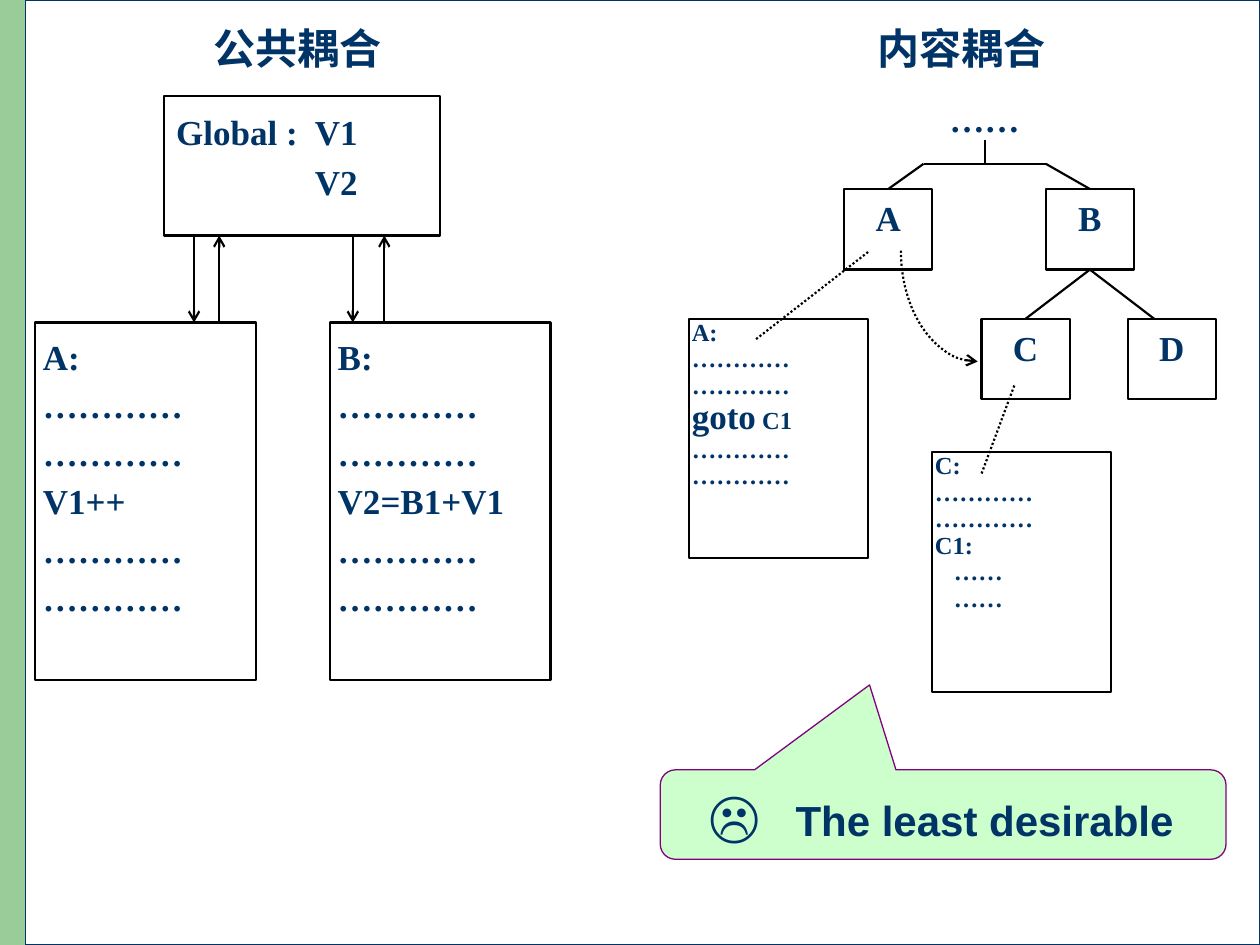
"""Build a slide that compares common coupling with content coupling."""
from lxml import etree
from pptx import Presentation
from pptx.dml.color import RGBColor
from pptx.enum.dml import MSO_LINE
from pptx.enum.shapes import MSO_CONNECTOR, MSO_SHAPE
from pptx.enum.text import MSO_ANCHOR, PP_ALIGN
from pptx.oxml.ns import qn
from pptx.util import Inches, Pt

RECT, ARC, CALLOUT = MSO_SHAPE.RECTANGLE, MSO_SHAPE.ARC, MSO_SHAPE.ROUNDED_RECTANGULAR_CALLOUT
LEFT, CENTER = PP_ALIGN.LEFT, PP_ALIGN.CENTER
TOP, MIDDLE = MSO_ANCHOR.TOP, MSO_ANCHOR.MIDDLE
DOTTED, STRAIGHT = MSO_LINE.ROUND_DOT, MSO_CONNECTOR.STRAIGHT
TOP_SIDE, BOTTOM_SIDE = 0, 2

SLIDE_W, SLIDE_H, MARGIN = 10, 7.5, 0.2
NAVY, BLACK, WHITE, GREEN, MINT, PURPLE = "003366", "000000", "FFFFFF", "99CC99", "CCFFCC", "800080"
SERIF, SANS = "Times New Roman", "Arial"
DOTS = "…………"

HEADINGS = [("公共耦合", 1.38), ("内容耦合", 6.65)]
GLOBALS = ["Global :\tV1", "V2"]
USERS = [("A:", "V1++"), ("B:", "V2=B1+V1")]
EXCHANGES = [(1.54, 1.74), (2.8, 3.05)]
MODULES = {"A": (6.7, 1.5), "B": (8.3, 1.5), "C": (7.79, 2.53), "D": (8.95, 2.53)}
LISTINGS = [
    (5.47, 2.53, ["A:", DOTS, DOTS, [("goto", 20), (" C1", 14)], DOTS, DOTS], {}),
    (7.4, 3.59, ["C:", DOTS, DOTS, "C1:", "……", "……"], {4: (0.15, 0), 5: (0.15, 0)}),
]
VERDICT = [[("☹", 32), ("\tThe least desirable", 24)]]

GLOBAL_X, GLOBAL_Y, GLOBAL_W, GLOBAL_H = 1.3, 0.76, 2.19, 1.11
USER_X, USER_Y, USER_W, USER_H, USER_STEP = 0.28, 2.56, 1.75, 2.84, 2.34
MODULE_W, MODULE_H = 0.7, 0.64
LISTING_W, LISTING_H = 1.42, 1.9
BAR_Y, BAR_LEFT, BAR_RIGHT = 1.3, 7.33, 8.3
JUMP_X, JUMP_Y, JUMP_RX, JUMP_RY = 7.76, 1.99, 0.61, 0.88


def color(value):
    return RGBColor.from_string(value)


def write(shape, lines, size=20, font=SERIF, align=LEFT, anchor=TOP, spacing=1.0,
          insets=(0.1, 0.05, 0.1, 0.05), indents=None):
    """Fill a shape with lines; a line is a string or a list of (text, size) runs."""
    frame = shape.text_frame
    frame.word_wrap, frame.vertical_anchor = True, anchor
    frame.margin_left, frame.margin_top, frame.margin_right, frame.margin_bottom = map(Inches, insets)
    for row, line in enumerate(lines):
        paragraph = frame.add_paragraph() if row else frame.paragraphs[0]
        paragraph.alignment, paragraph.line_spacing = align, spacing
        if indents and row in indents:
            left, first = indents[row]
            properties = paragraph._p.get_or_add_pPr()
            properties.set("marL", str(Inches(left)))
            properties.set("indent", str(Inches(first)))
        for text, points in [(line, size)] if isinstance(line, str) else line:
            run = paragraph.add_run()
            run.text = text
            run.font.size, run.font.name, run.font.bold = Pt(points), font, True
            run.font.color.rgb = color(NAVY)


def stroke(item, value=BLACK, width=1.25, dash=None, arrow=None):
    item.line.color.rgb, item.line.width = color(value), Pt(width)
    if dash:
        item.line.dash_style = dash
    if arrow:
        etree.SubElement(item.line._get_or_add_ln(), qn(f"a:{arrow}")).set("type", "arrow")


def box(slide, x, y, w, h, kind=RECT, fill=WHITE, outline=BLACK, width=1.25):
    shape = slide.shapes.add_shape(kind, *map(Inches, (x, y, w, h)))
    shape.fill.solid()
    shape.fill.fore_color.rgb = color(fill)
    if outline:
        stroke(shape, outline, width)
    else:
        shape.line.fill.background()
    shape.shadow.inherit = False
    return shape


def link(slide, start, end, dash=None, arrow=None):
    connector = slide.shapes.add_connector(STRAIGHT, *map(Inches, (*start, *end)))
    stroke(connector, dash=dash, arrow=arrow)
    etree.SubElement(connector._element.spPr, qn("a:effectLst"))
    return connector


def add_headings(slide):
    second = slide.shapes.add_textbox(0, 0, 0, 0)
    first = slide.shapes.title
    slide.shapes._spTree.append(first._element)
    for shape, (heading, x) in zip((first, second), HEADINGS):
        shape.left, shape.top, shape.width, shape.height = map(Inches, (x, 0.13, 1.97, 0.5))
        write(shape, [heading], size=24, font=SANS, align=CENTER, anchor=MIDDLE)


def add_common_coupling(slide):
    shared = box(slide, GLOBAL_X, GLOBAL_Y, GLOBAL_W, GLOBAL_H)
    write(shared, GLOBALS, spacing=1.2, indents={0: (1.1, -1.1), 1: (1.1, 0)})
    for column, (name, statement) in enumerate(USERS):
        user = box(slide, USER_X + column * USER_STEP, USER_Y, USER_W, USER_H)
        write(user, [name, DOTS, DOTS, statement, DOTS, DOTS], spacing=1.15,
              insets=(0.06, 0.05, 0.02, 0.05))
    shared_bottom = GLOBAL_Y + GLOBAL_H
    for read_x, write_x in EXCHANGES:
        link(slide, (read_x, shared_bottom), (read_x, USER_Y), arrow="tailEnd")
        link(slide, (write_x, USER_Y), (write_x, shared_bottom), arrow="tailEnd")


def add_content_coupling(slide):
    root = slide.shapes.add_textbox(*map(Inches, (BAR_LEFT, 0.76, 0.97, 0.39)))
    write(root, ["……"], align=CENTER, insets=(0.06, 0.01, 0.06, 0.01))
    middle = (BAR_LEFT + BAR_RIGHT) / 2
    link(slide, (middle, 1.11), (middle, BAR_Y))
    link(slide, (BAR_LEFT, BAR_Y), (BAR_RIGHT, BAR_Y))

    modules = {}
    for name, (x, y) in MODULES.items():
        modules[name] = box(slide, x, y, MODULE_W, MODULE_H)
        write(modules[name], [name], align=CENTER, insets=(0.02, 0.06, 0.02, 0.02))
    for name, x in (("A", BAR_LEFT), ("B", BAR_RIGHT)):
        link(slide, (x, BAR_Y), (x, BAR_Y)).end_connect(modules[name], TOP_SIDE)
    child_y = MODULES["C"][1]
    to_c, to_d = (link(slide, (8.65, 2.14), (x, child_y)) for x in (8.14, 9.16))
    for branch in (to_c, to_d):
        branch.begin_connect(modules["B"], BOTTOM_SIDE)
    to_c.end_connect(modules["C"], TOP_SIDE)

    jump = slide.shapes.add_shape(ARC, *map(Inches, (
        JUMP_X - JUMP_RX, JUMP_Y - JUMP_RY, 2 * JUMP_RX, 2 * JUMP_RY)))
    jump.adjustments[0], jump.adjustments[1] = 54, 108
    jump.fill.background()
    stroke(jump, dash=DOTTED, arrow="headEnd")
    jump.shadow.inherit = False

    for x, y, code, indents in LISTINGS:
        write(box(slide, x, y, LISTING_W, LISTING_H), code, size=14, spacing=0.9,
              insets=(0.02, 0.01, 0.02, 0.01), indents=indents)
    link(slide, (6.89, 2), (5.99, 2.7), dash=DOTTED)
    link(slide, (8.05, 3.06), (7.79, 3.76), dash=DOTTED)


def add_verdict(slide):
    callout = box(slide, 5.24, 6.11, 4.49, 0.71, CALLOUT, MINT, PURPLE, 0.75)
    for index, value in enumerate((-0.13, -1.45, 0.17)):
        callout.adjustments[index] = value
    write(callout, VERDICT, font=SANS, anchor=MIDDLE, indents={0: (0.94, -0.69)})


def main():
    deck = Presentation()
    deck.slide_width, deck.slide_height = Inches(SLIDE_W), Inches(SLIDE_H)
    slide = deck.slides.add_slide(deck.slide_layouts[5])
    box(slide, 0, 0, 0.81, SLIDE_H, fill=GREEN, outline=None)
    box(slide, MARGIN, 0, SLIDE_W - MARGIN, SLIDE_H, outline=NAVY, width=0.75)
    add_headings(slide)
    add_common_coupling(slide)
    add_content_coupling(slide)
    add_verdict(slide)
    deck.save("out.pptx")


if __name__ == "__main__":
    main()
